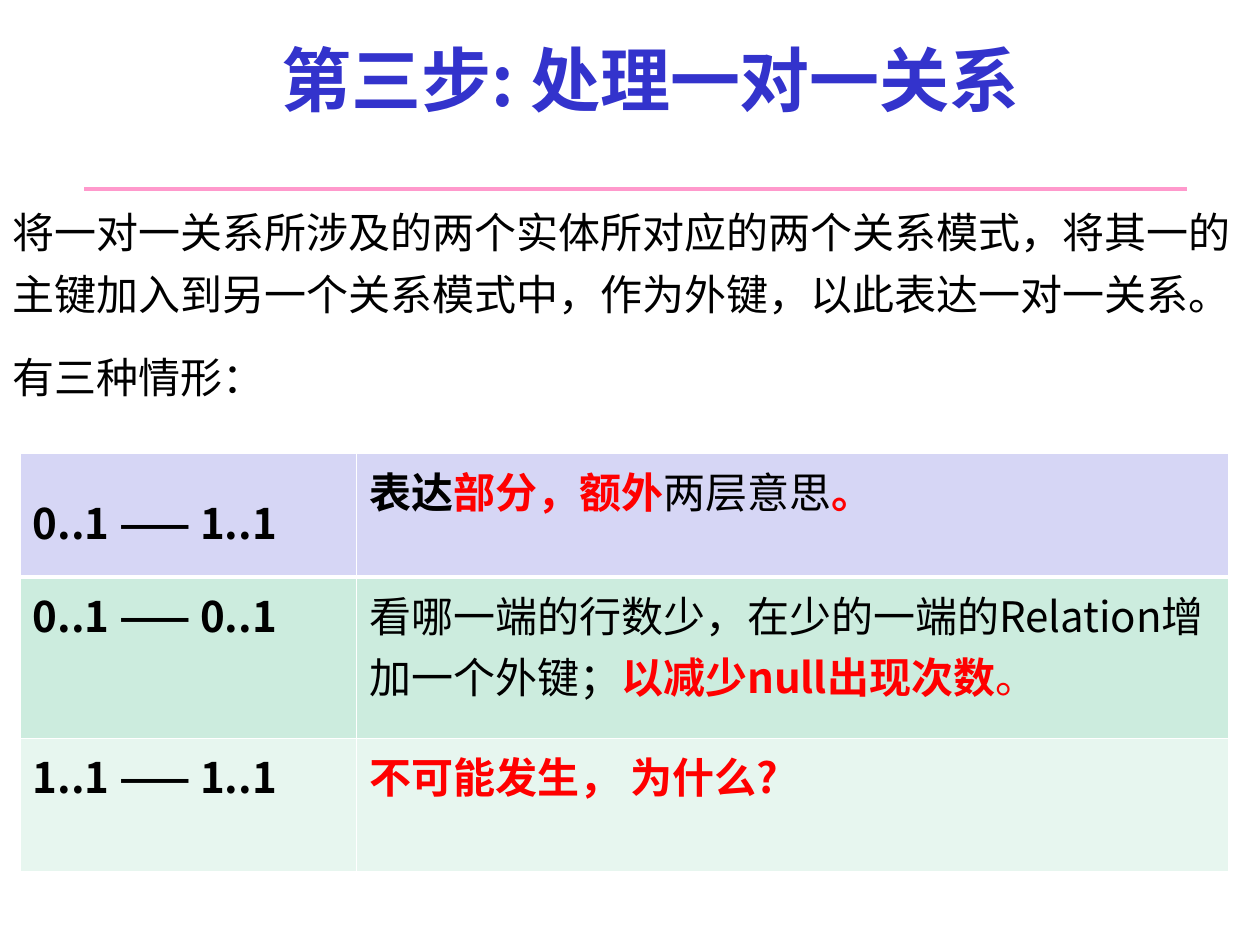
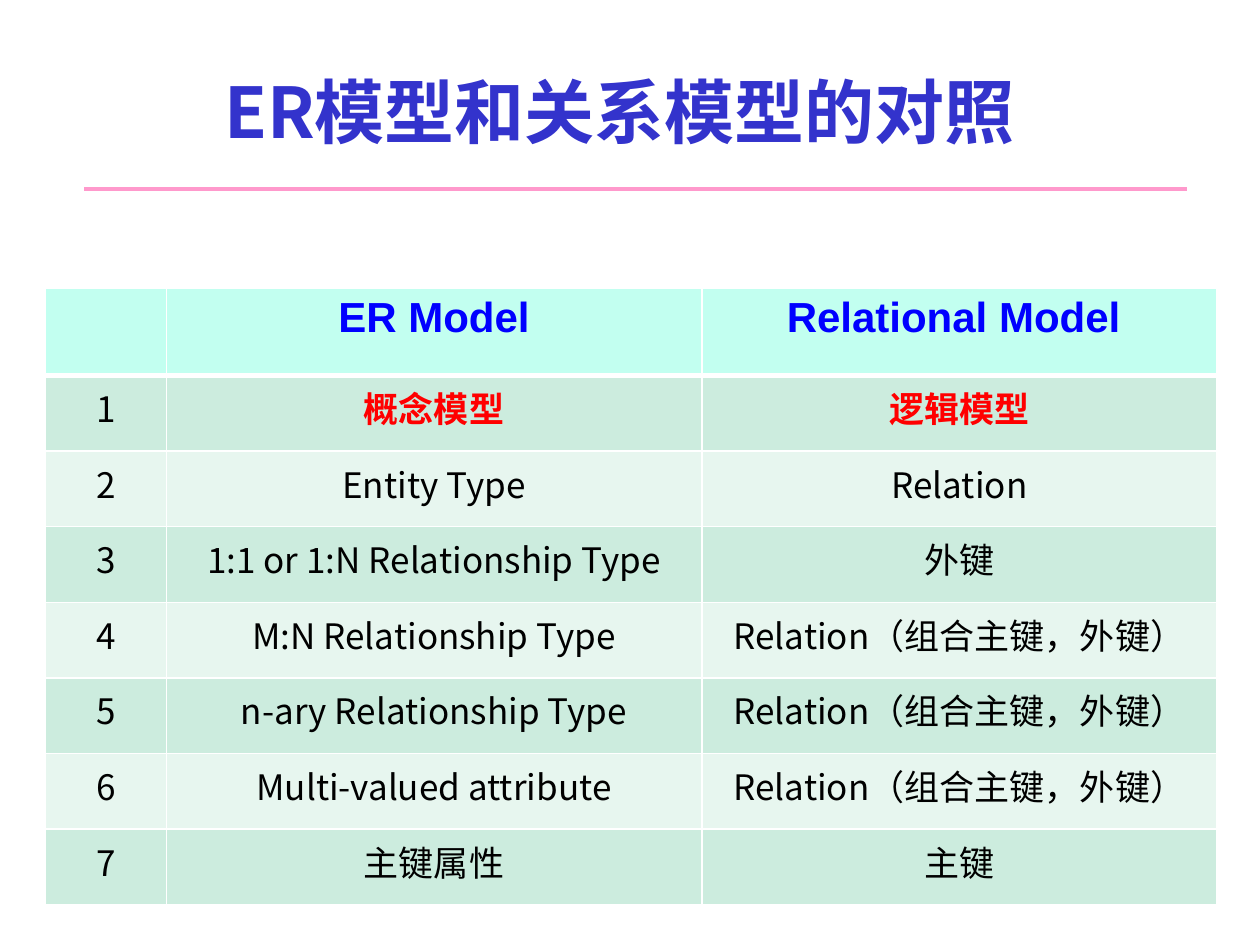
from pptx import Presentation
from pptx.dml.color import RGBColor
from pptx.enum.shapes import MSO_CONNECTOR
from pptx.enum.text import MSO_ANCHOR, MSO_AUTO_SIZE, PP_ALIGN
from pptx.oxml.ns import qn
from pptx.util import Inches, Pt
from lxml import etree

STRAIGHT = MSO_CONNECTOR.STRAIGHT
MIDDLE = MSO_ANCHOR.MIDDLE
NO_AUTOFIT = MSO_AUTO_SIZE.NONE
LEFT, CENTER = PP_ALIGN.LEFT, PP_ALIGN.CENTER

CHINESE_FONT, LATIN_FONT = "Noto Sans CJK SC", "Arial"
TITLE_BLUE, RULE_PINK = "3333CC", "FF99CC"
BLACK, WHITE, RED, BLUE = "000000", "FFFFFF", "FF0000", "0000FF"
LAVENDER, AQUA, GREEN, PALE_GREEN = "D6D6F5", "C2FFF0", "CCECDE", "E7F6EF"


def color(hex_string):
    return RGBColor.from_string(hex_string)


def add_text(paragraph, text, size=24, font=CHINESE_FONT, text_color=BLACK, bold=False):
    run = paragraph.add_run()
    run.text = text
    run.font.size = Pt(size)
    run.font.bold = bold
    run.font.color.rgb = color(text_color)
    run.font.name = font
    east_asian = etree.SubElement(run.font._element, qn("a:ea"))
    east_asian.set("typeface", font)


def set_borders(cell, bottom_width):
    properties = cell._tc.get_or_add_tcPr()
    widths = {"a:lnL": 1, "a:lnR": 1, "a:lnT": 1, "a:lnB": bottom_width}
    for index, (tag, width) in enumerate(widths.items()):
        line = etree.Element(qn(tag), w=str(Pt(width)))
        fill = etree.SubElement(line, qn("a:solidFill"))
        etree.SubElement(fill, qn("a:srgbClr"), val=WHITE)
        properties.insert(index, line)


class Deck:
    """Holds the shared style and the slide being built."""

    def __init__(self):
        self.presentation = Presentation()
        self.presentation.slide_width = Inches(10)
        self.presentation.slide_height = Inches(7.5)
        self.slide = None

    def place(self, shape, left, top, width, height):
        shape.left, shape.top = Inches(left), Inches(top)
        shape.width, shape.height = Inches(width), Inches(height)

    def new_slide(self, layout_name, title, title_left, bottom_inset=0.05):
        layout = self.presentation.slide_layouts.get_by_name(layout_name)
        self.slide = self.presentation.slides.add_slide(layout)
        self.add_rule()
        shape = self.slide.shapes.title
        self.place(shape, title_left, 0.25, 9.67, 1.25)
        frame = shape.text_frame
        frame.auto_size = NO_AUTOFIT
        frame.vertical_anchor = MIDDLE
        frame.margin_top = Inches(0.05) if bottom_inset == 0.05 else 0
        frame.margin_bottom = Inches(bottom_inset)
        paragraph = frame.paragraphs[0]
        paragraph.alignment = CENTER
        add_text(paragraph, title, size=40, text_color=TITLE_BLUE, bold=True)

    def add_rule(self):
        rule = self.slide.shapes.add_connector(
            STRAIGHT, Inches(0.67), Inches(1.5), Inches(9.42), Inches(1.5))
        rule.line.color.rgb = color(RULE_PINK)
        rule.line.width = Pt(2)
        etree.SubElement(rule._element.spPr, qn("a:effectLst"))

    def add_body(self, texts, left, top, width, height):
        shape = self.slide.placeholders[1]
        self.place(shape, left, top, width, height)
        frame = shape.text_frame
        frame.auto_size = NO_AUTOFIT
        for index, text in enumerate(texts):
            paragraph = frame.add_paragraph() if index else frame.paragraphs[0]
            paragraph.line_spacing = 1.23
            paragraph.space_before = Pt(12)
            properties = paragraph._p.get_or_add_pPr()
            properties.set("marL", "0")
            properties.set("indent", "0")
            etree.SubElement(properties, qn("a:buNone"))
            add_text(paragraph, text)

    def add_table(self, rows, left, top, column_widths, row_heights, fills, alignment=LEFT):
        """Each cell is a list of (text, format) runs."""
        table = self.slide.shapes.add_table(
            len(rows), len(column_widths), Inches(left), Inches(top),
            Inches(sum(column_widths)), Inches(sum(row_heights))).table
        for column, width in zip(table.columns, column_widths):
            column.width = Inches(width)
        for row_index, runs_by_cell in enumerate(rows):
            table.rows[row_index].height = Inches(row_heights[row_index])
            for column_index, runs in enumerate(runs_by_cell):
                cell = table.cell(row_index, column_index)
                cell.fill.solid()
                cell.fill.fore_color.rgb = color(fills[row_index])
                set_borders(cell, bottom_width=1 if row_index else 3)
                paragraph = cell.text_frame.paragraphs[0]
                paragraph.alignment = alignment
                for text, text_format in runs:
                    add_text(paragraph, text, **text_format)
        return table


def build_one_to_one(deck):
    deck.new_slide("Title and Content", "第三步: 处理一对一关系", 0.33, bottom_inset=0.5)
    deck.add_body([
        "将一对一关系所涉及的两个实体所对应的两个关系模式，将其一的主键加入到另一个关系模式中，"
        "作为外键，以此表达一对一关系。",
        "有三种情形：",
    ], 0, 1.5, 10.17, 2.02)

    # The three cases of participation
    plain, strong = {}, {"bold": True}
    red, strong_red = {"text_color": RED}, {"text_color": RED, "bold": True}
    rows = [
        [[("0..1 —— 1..1", strong)],
         [("表达", strong), ("部分，额外", strong_red), ("两层意思", plain), ("。", strong_red)]],
        [[("0..1 —— 0..1", strong)],
         [("看哪一端的行数少，在少的一端的Relation增加一个外键；", plain),
          ("以减少null出现次数", strong_red), ("。", red)]],
        [[("1..1 —— 1..1", strong)],
         [("不可能发生， 为什么?", strong_red)]],
    ]
    table = deck.add_table(rows, 0.16, 3.6, [2.67, 6.92], [0.98, 1.28, 1.06],
                           [LAVENDER, GREEN, PALE_GREEN])
    table.cell(0, 0).text_frame.paragraphs[0].line_spacing = 1.5


def build_model_comparison(deck):
    deck.new_slide("Title Only", "ER模型和关系模型的对照", 0.08)

    # Header row, then numbered pairs with the first pair stressed
    header = {"font": LATIN_FONT, "text_color": BLUE, "bold": True}
    composite = "Relation（组合主键，外键）"
    pairs = [
        ("概念模型", "逻辑模型"),
        ("Entity Type", "Relation"),
        ("1:1 or 1:N Relationship Type", "外键"),
        ("M:N Relationship Type", composite),
        ("n-ary Relationship Type", composite),
        ("Multi-valued attribute", composite),
        ("主键属性", "主键"),
    ]
    rows = [[[], [("ER Model", header)], [("Relational Model ", header)]]]
    for number, pair in enumerate(pairs, start=1):
        plain = {"size": 20}
        pair_format = {"size": 20, "text_color": RED, "bold": True} if number == 1 else plain
        rows.append([[(str(number), plain)]] + [[(text, pair_format)] for text in pair])
    bands = [GREEN if index % 2 == 0 else PALE_GREEN for index in range(len(pairs))]
    deck.add_table(rows, 0.36, 2.29, [0.96, 4.25, 4.09], [0.69] + [0.6] * len(pairs),
                   [AQUA] + bands, alignment=CENTER)


def main():
    deck = Deck()
    build_one_to_one(deck)
    build_model_comparison(deck)
    deck.presentation.save("out.pptx")


if __name__ == "__main__":
    main()
